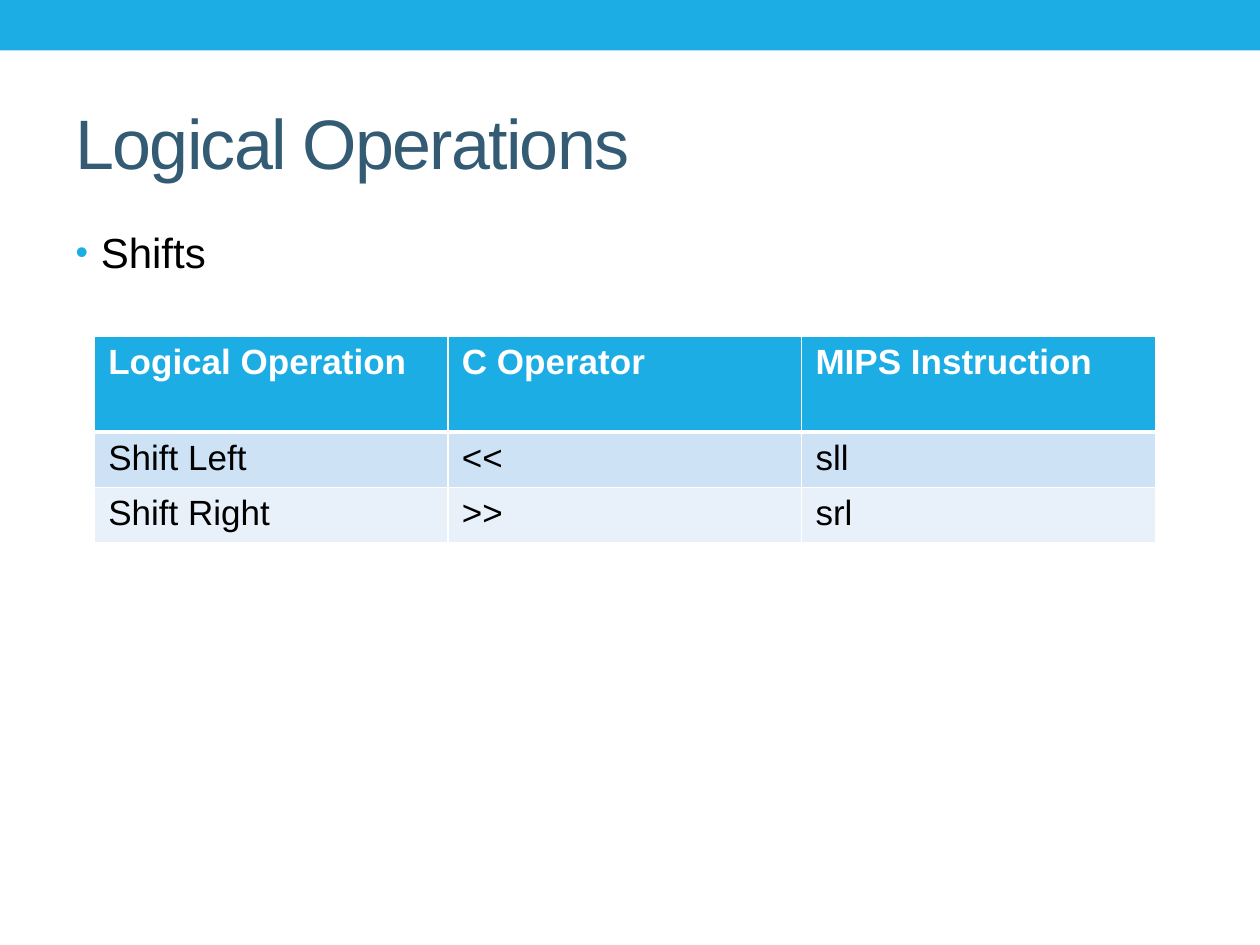
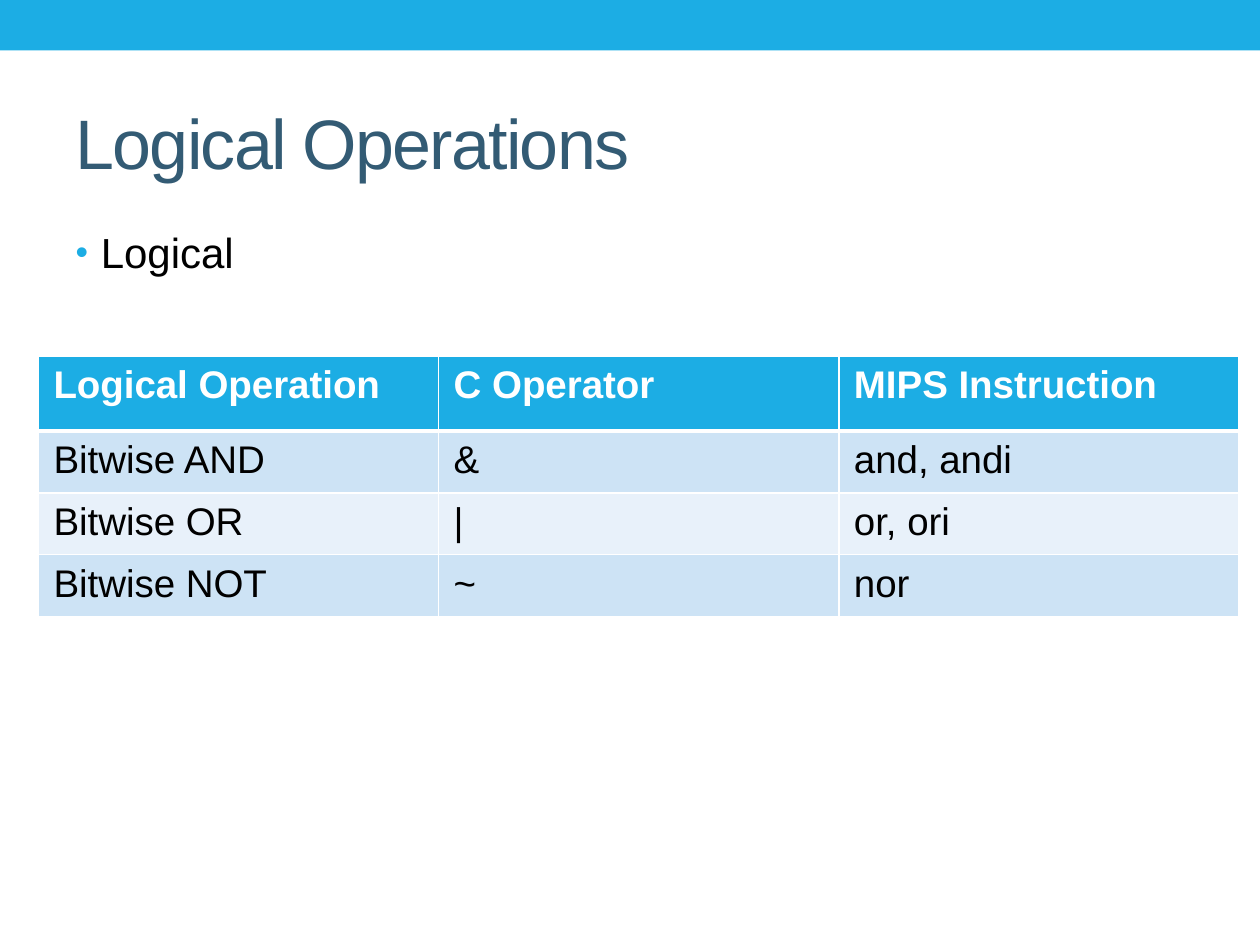
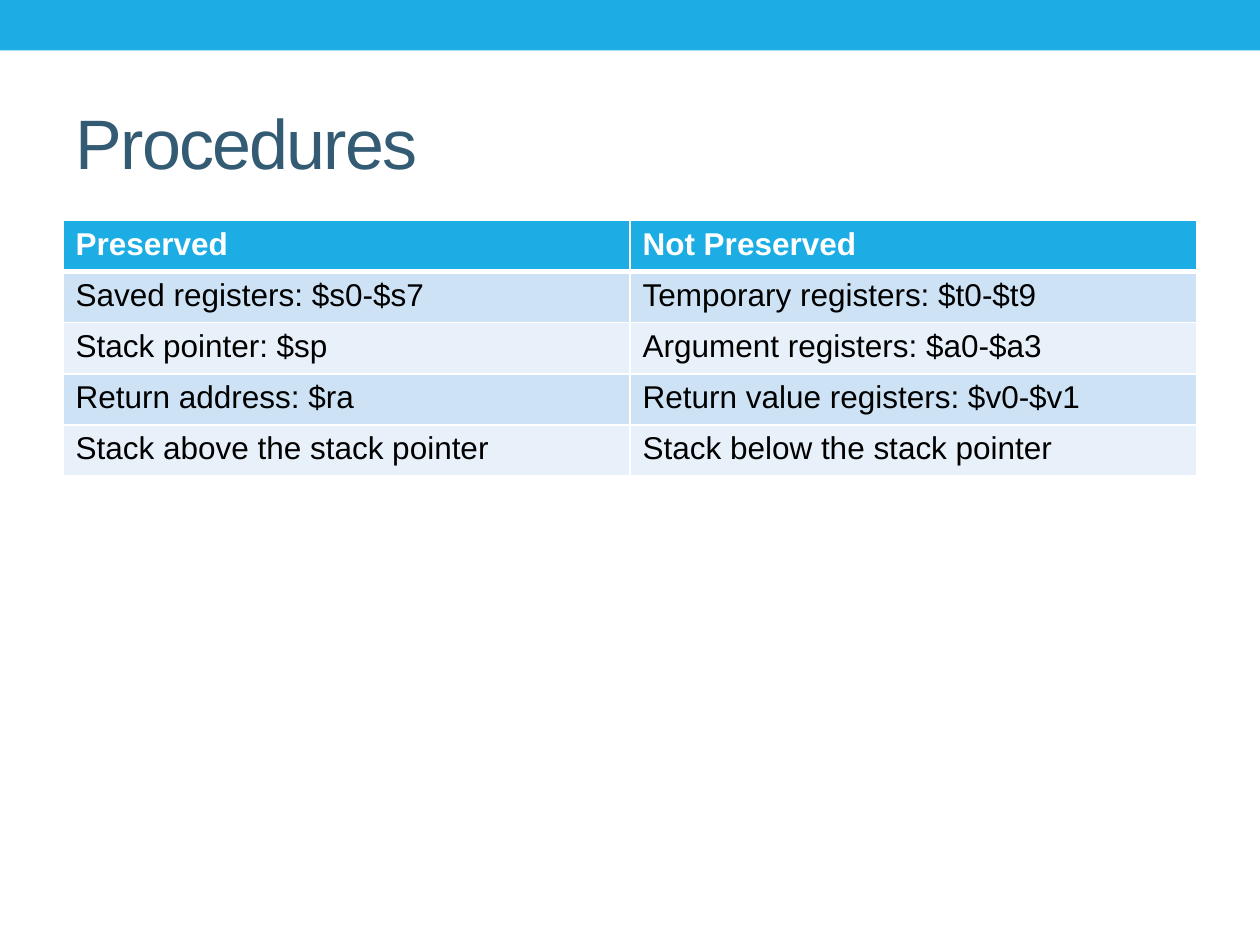
from dataclasses import dataclass

from lxml.etree import SubElement
from pptx import Presentation
from pptx.dml.color import RGBColor
from pptx.enum.shapes import MSO_SHAPE
from pptx.enum.text import MSO_ANCHOR, MSO_AUTO_SIZE, PP_ALIGN
from pptx.oxml.ns import qn
from pptx.util import Pt


@dataclass(frozen=True)
class Theme:
    """Colours, font and type sizes of the deck."""

    accent: str = "1CADE4"
    heading: str = "335B74"
    ink: str = "000000"
    paper: str = "FFFFFF"
    stripes: tuple = ("CDE3F5", "E8F1FA")
    font: str = "Arial"
    title_size: int = 40
    body_size: int = 24


def write_text(frame, text, *, font, size, color, bold=False, spacing=0, align=PP_ALIGN.LEFT):
    """Put one formatted run in a text frame and return its paragraph."""
    paragraph = frame.paragraphs[0]
    paragraph.alignment = align
    run = paragraph.add_run()
    run.text = text
    run.font.name = font
    run.font.size = Pt(size)
    run.font.bold = bold
    run.font.color.rgb = RGBColor.from_string(color)
    if spacing:
        run._r.get_or_add_rPr().set("spc", str(round(spacing * 100)))
    return paragraph


def add_border(cell, side, color, width):
    """Draw a solid border on one side of a table cell."""
    properties = cell._tc.get_or_add_tcPr()
    line = SubElement(properties, qn(f"a:ln{side}"), w=str(Pt(width)))
    fill = SubElement(line, qn("a:solidFill"))
    SubElement(fill, qn("a:srgbClr"), val=color)


def add_bullet(paragraph, color, indent):
    """Give a paragraph a coloured round bullet with a hanging indent."""
    properties = paragraph._p.get_or_add_pPr()
    properties.set("marL", str(Pt(indent)))
    properties.set("indent", str(-Pt(indent)))
    bullet_color = SubElement(properties, qn("a:buClr"))
    SubElement(bullet_color, qn("a:srgbClr"), val=color)
    SubElement(properties, qn("a:buSzPct"), val="85000")
    SubElement(properties, qn("a:buFont"), typeface="Arial")
    SubElement(properties, qn("a:buChar"), char="•")


def place(shape, left, top, width, height):
    """Move and size a shape in points."""
    shape.left, shape.top = Pt(left), Pt(top)
    shape.width, shape.height = Pt(width), Pt(height)


class Deck:
    """Holds the theme and the current slide, and draws each kind of element."""

    def __init__(self, theme):
        """Start an empty deck of 10 by 7.5 inches."""
        self.theme = theme
        self.presentation = Presentation()
        self.presentation.slide_width = Pt(720)
        self.presentation.slide_height = Pt(540)
        self.slide = None

    def add_slide(self, title, topic=None):
        """Add a slide with a title and, if given, a bulleted topic."""
        name = "Title and Content" if topic else "Title Only"
        layout = self.presentation.slide_layouts.get_by_name(name)
        self.slide = self.presentation.slides.add_slide(layout)
        self.add_title(title)
        if topic:
            self.add_topic(topic)

    def add_master_band(self):
        """Put the top band on the master that all slides share."""
        band = self.slide.shapes.add_shape(MSO_SHAPE.RECTANGLE, 0, 0, Pt(720), Pt(28.8))
        band.shadow.inherit = False
        band.fill.solid()
        band.fill.fore_color.rgb = RGBColor.from_string(self.theme.accent)
        band.line.fill.background()
        self.presentation.slide_master.shapes.element.insert(2, band.element)

    def add_title(self, text):
        """Fill the title placeholder."""
        title = self.slide.shapes.title
        place(title, 36, 41.76, 648, 77.76)
        frame = title.text_frame
        frame.auto_size = MSO_AUTO_SIZE.NONE
        frame.vertical_anchor = MSO_ANCHOR.MIDDLE
        write_text(frame, text, font=self.theme.font, size=self.theme.title_size,
                   color=self.theme.heading, spacing=-1)

    def add_topic(self, text):
        """Fill the body placeholder with one bullet."""
        body = self.slide.placeholders[1]
        place(body, 36, 126, 648, 383.76)
        body.text_frame.auto_size = MSO_AUTO_SIZE.NONE
        paragraph = write_text(body.text_frame, text, font=self.theme.font,
                               size=self.theme.body_size, color=self.theme.ink)
        add_bullet(paragraph, self.theme.accent, 14.4)

    def add_table(self, rows, *, left, top, width, header_height, row_height, size,
                  margins=(7.2, 3.6)):
        """Add a table with a header row, striped rows and equal columns."""
        count = len(rows[0])
        height = header_height + row_height * (len(rows) - 1)
        table = self.slide.shapes.add_table(
            len(rows), count, Pt(left), Pt(top), Pt(width), Pt(height)).table
        for column in table.columns:
            column.width = Pt(width / count)
        for index, values in enumerate(rows):
            table.rows[index].height = Pt(row_height if index else header_height)
            for position, value in enumerate(values):
                self.fill_cell(table.cell(index, position), value, index, size, margins)

    def fill_cell(self, cell, text, row, size, margins):
        """Write and format one table cell."""
        theme = self.theme
        header = row == 0
        cell.margin_left = cell.margin_right = Pt(margins[0])
        cell.margin_top = cell.margin_bottom = Pt(margins[1])
        for side in "LRTB":
            thick = (header and side == "B") or (row == 1 and side == "T")
            add_border(cell, side, theme.paper, 3 if thick else 1)
        cell.fill.solid()
        fill = theme.accent if header else theme.stripes[(row - 1) % 2]
        cell.fill.fore_color.rgb = RGBColor.from_string(fill)
        write_text(cell.text_frame, text, font=theme.font, size=size, bold=header,
                   color=theme.paper if header else theme.ink)


def main():
    """Build the three slides and save them."""
    deck = Deck(Theme())
    operation_header = ("Logical Operation", "C Operator", "MIPS Instruction")

    deck.add_slide("Logical Operations", "Shifts")
    deck.add_master_band()
    deck.add_table(
        [operation_header, ("Shift Left", "<<", "sll"), ("Shift Right", ">>", "srl")],
        left=54, top=192.24, width=606.24, header_height=54.72, row_height=31.68,
        size=20, margins=(7.92, 3.6))

    deck.add_slide("Logical Operations", "Logical")
    deck.add_table(
        [operation_header, ("Bitwise AND", "&", "and, andi"),
         ("Bitwise OR", "|", "or, ori"), ("Bitwise NOT", "~", "nor")],
        left=21.96, top=203.76, width=686.16, header_height=42.48, row_height=35.4,
        size=22, margins=(8.64, 4.32))

    deck.add_slide("Procedures")
    deck.add_table(
        [("Preserved", "Not Preserved"),
         ("Saved registers: $s0-$s7", "Temporary registers: $t0-$t9"),
         ("Stack pointer: $sp", "Argument registers: $a0-$a3"),
         ("Return address: $ra", "Return value registers: $v0-$v1"),
         ("Stack above the stack pointer", "Stack below the stack pointer")],
        left=36, top=126, width=648, header_height=29.2, row_height=29.2, size=18)

    deck.presentation.save("out.pptx")


main()
